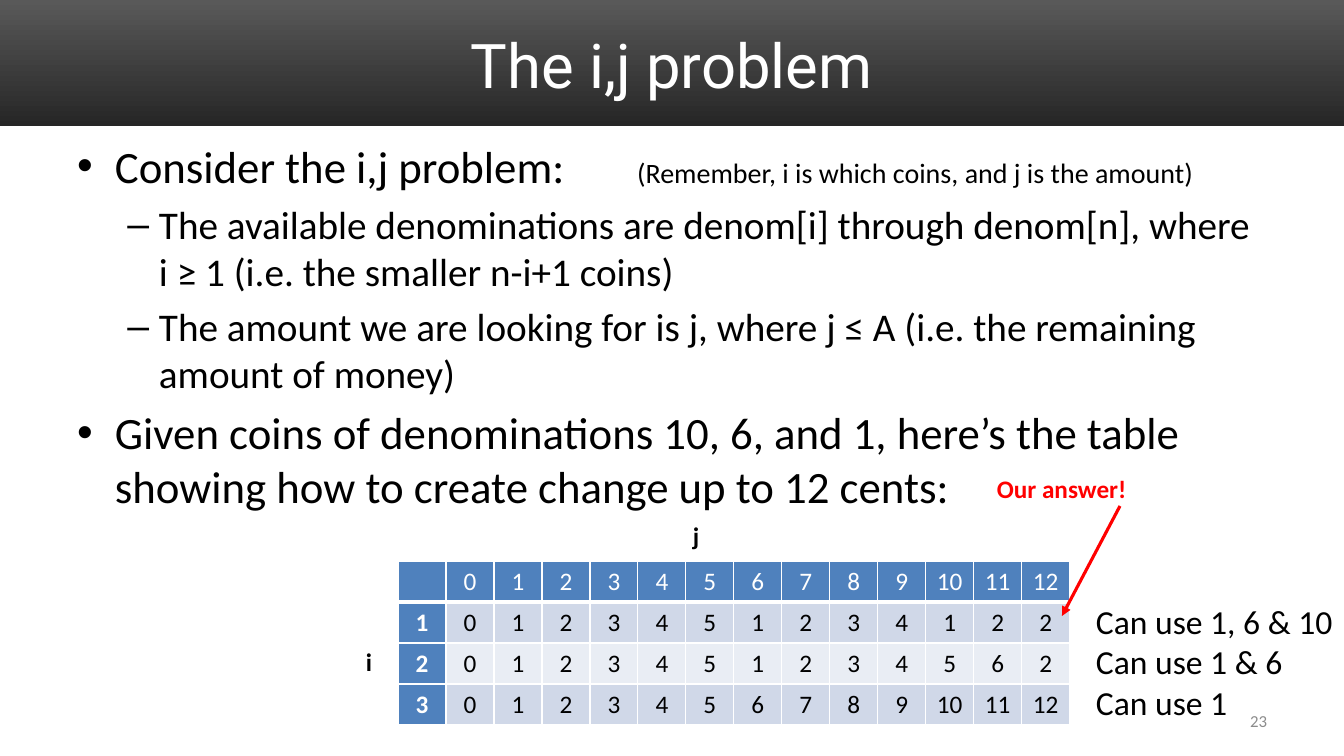
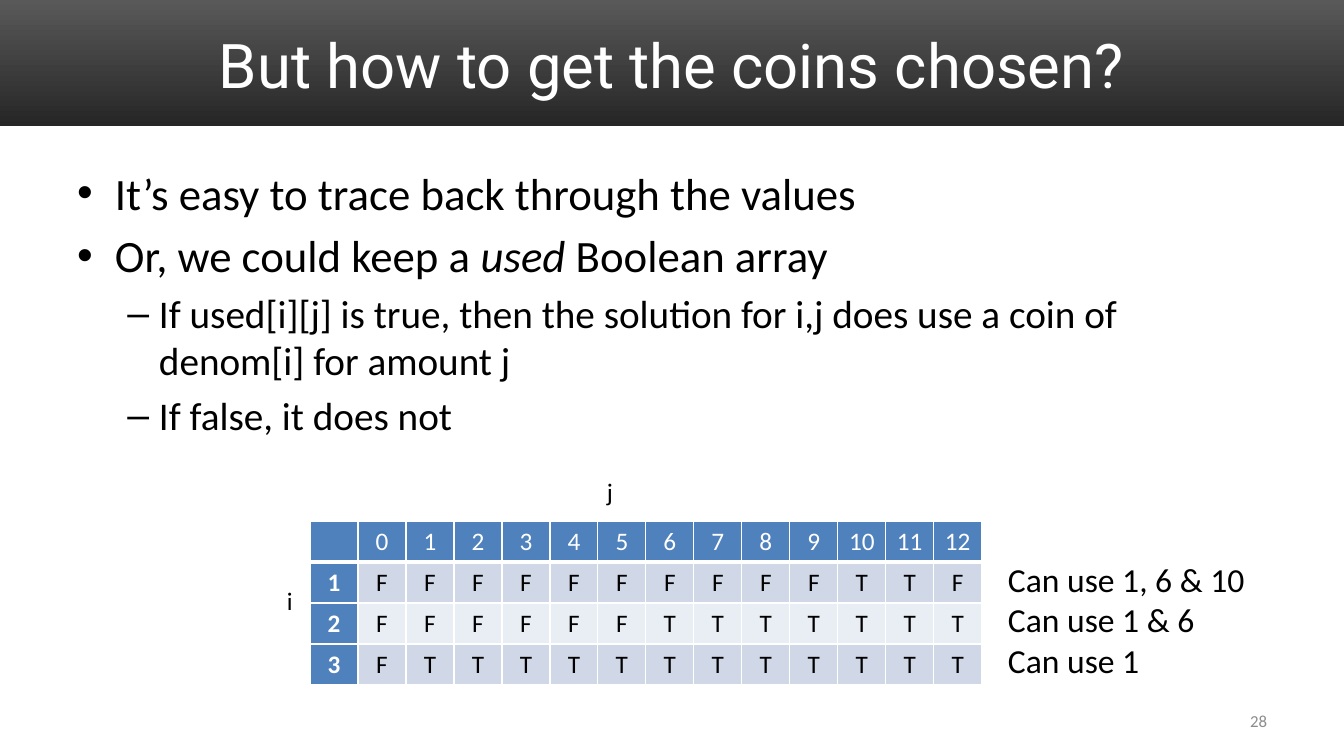
from pptx import Presentation
from pptx.dml.color import RGBColor
from pptx.enum.shapes import MSO_CONNECTOR, MSO_SHAPE
from pptx.enum.text import MSO_ANCHOR, PP_ALIGN
from pptx.oxml import parse_xml
from pptx.oxml.ns import nsdecls
from pptx.util import Pt

WIDE, HIGH = 1344, 756
SCALE = 914400 / 100.8
CELL_W, CELL_H = 48, 41
BLACK, WHITE, RED, GREY = "000000", "FFFFFF", "FF0000", "8C8C8C"
BLUE, PALE, LIGHT = "4F81BD", "D0D8E8", "E9EDF4"
BAND = ("595959", "262626")
HEAD = [""] + [str(n) for n in range(13)]
USES = ["Can use 1, 6 & 10", "Can use 1 & 6", "Can use 1"]

SLIDES = [
    {
        "title": "The i,j problem",
        "page": "23",
        "body": (67, 76, 1210, 499),
        "points": [
            (0, [("Consider the i,j problem:\t", {}),
                 ("(Remember, i is which coins, and j is the amount)", {"size": 20})]),
            (1, [("The available denominations are denom[i] through denom[n], "
                  "where i ≥ 1 (i.e. the smaller n-i+1 coins)", {})]),
            (1, [("The amount we are looking for is j, where j ≤ A "
                  "(i.e. the remaining amount of money)", {})]),
            (0, [("Given coins of denominations 10, 6, and 1, here’s the table "
                  "showing how to create change up to 12 cents:", {})]),
        ],
        "tab": 560,
        "table": (398, 561),
        "rows": ["0 1 2 3 4 5 1 2 3 4 1 2 2",
                 "0 1 2 3 4 5 1 2 3 4 5 6 2",
                 "0 1 2 3 4 5 6 7 8 9 10 11 12"],
        "labels": [("i", 356, 641), ("j", 683, 515)],
        "bold": True,
        "uses": (1086, 596),
        "answer": ("Our answer!", (987, 468, 151, 40), (1120, 506, 1062, 616)),
    },
    {
        "title": "But how to get the coins chosen?",
        "page": "28",
        "body": (67, 151, 1210, 302),
        "points": [
            (0, [("It’s easy to trace back through the values", {})]),
            (0, [("Or, we could keep a ", {}), ("used", {"italic": True}),
                 (" Boolean array", {})]),
            (1, [("If used[i][j] is true, then the solution for i,j does use "
                  "a coin of denom[i] for amount j", {})]),
            (1, [("If false, it does not", {})]),
        ],
        "table": (310, 521),
        "rows": ["F F F F F F F F F F T T F",
                 "F F F F F F T T T T T T T",
                 "F T T T T T T T T T T T T"],
        "labels": [("i", 277, 580), ("j", 597, 471)],
        "bold": False,
        "uses": (998, 554),
    },
]


def px(n):
    return round(n * SCALE)


def box(*sides):
    return [px(n) for n in sides]


def rgb(code):
    return RGBColor.from_string(code)


def place(shape, sides):
    shape.left, shape.top, shape.width, shape.height = box(*sides)


def style(run, size, color=BLACK, bold=False, italic=False, face="Calibri"):
    font = run.font
    font.name, font.size, font.bold, font.italic = face, Pt(size), bold, italic
    font.color.rgb = rgb(color)


def write(frame, lines, size, align=PP_ALIGN.LEFT, **look):
    frame.text = "\n".join(lines)
    for para in frame.paragraphs:
        para.alignment = align
        for run in para.runs:
            style(run, size, **look)


def label(slide, lines, sides, size, wrap=True, anchor=MSO_ANCHOR.TOP, **look):
    frame = slide.shapes.add_textbox(*box(*sides)).text_frame
    frame.word_wrap = wrap
    frame.vertical_anchor = anchor
    write(frame, lines, size, **look)


def add_band(slide, layout):
    band = slide.shapes.add_shape(MSO_SHAPE.RECTANGLE, *box(0, 0, WIDE, 126))
    band.shadow.inherit = False
    band.line.fill.background()
    band.fill.gradient()
    band.fill.gradient_angle = 270
    for stop, color, spot in zip(band.fill.gradient_stops, BAND, (0, 1)):
        stop.color.rgb = rgb(color)
        stop.position = spot
    layout.shapes.element.insert(2, band.element)


def add_points(body, points, tab):
    frame = body.text_frame
    for num, (level, parts) in enumerate(points):
        para = frame.add_paragraph() if num else frame.paragraphs[0]
        para.level = level
        for text, look in parts:
            run = para.add_run()
            run.text = text
            style(run, **{"size": 28 if level else 32, **look})
            if "\t" in text:
                para._p.get_or_add_pPr().append(parse_xml(
                    f'<a:tabLst {nsdecls("a")}><a:tab pos="{px(tab)}" algn="l"/></a:tabLst>'))


def add_edges(cell, top):
    props = cell._tc.get_or_add_tcPr()
    for num, side in enumerate("LRTB"):
        wide = Pt(3 if top and side == "B" else 1)
        props.insert(num, parse_xml(
            f'<a:ln{side} {nsdecls("a")} w="{wide}"><a:solidFill>'
            f'<a:srgbClr val="{WHITE}"/></a:solidFill></a:ln{side}>'))


def add_grid(slide, spot, rows):
    grid = [HEAD] + [[str(n)] + row.split() for n, row in enumerate(rows, 1)]
    wide, high = len(HEAD), len(grid)
    table = slide.shapes.add_table(
        high, wide, *box(*spot, wide * CELL_W, high * CELL_H)).table
    for col in table.columns:
        col.width = px(CELL_W)
    for r, row in enumerate(grid):
        table.rows[r].height = px(CELL_H)
        for c, text in enumerate(row):
            cell = table.cell(r, c)
            head = r == 0 or c == 0
            write(cell.text_frame, [text], 18, PP_ALIGN.CENTER,
                  color=WHITE if head else BLACK, bold=r > 0 and c == 0)
            cell.fill.solid()
            cell.fill.fore_color.rgb = rgb(BLUE if head else PALE if r % 2 else LIGHT)
            add_edges(cell, r == 0)


def add_arrow(slide, ends):
    arrow = slide.shapes.add_connector(MSO_CONNECTOR.STRAIGHT, *box(*ends))
    arrow.line.color.rgb = rgb(RED)
    arrow.line.width = Pt(2.25)
    arrow.line._get_or_add_ln().append(
        parse_xml(f'<a:tailEnd {nsdecls("a")} type="triangle"/>'))
    arrow._element.spPr.append(parse_xml(f'<a:effectLst {nsdecls("a")}/>'))


deck = Presentation()
deck.slide_width, deck.slide_height = box(WIDE, HIGH)
layout = deck.slide_layouts[1]
place(layout.placeholders[0], (67, 17, 1210, 93))
layout.placeholders[1].text_frame.vertical_anchor = MSO_ANCHOR.MIDDLE

for num, data in enumerate(SLIDES):
    slide = deck.slides.add_slide(layout)
    if num == 0:
        add_band(slide, layout)
    title, body = slide.placeholders
    write(title.text_frame, [data["title"]], 44, PP_ALIGN.CENTER,
          color=WHITE, face="Roboto")
    place(body, data["body"])
    add_points(body, data["points"], data.get("tab"))
    label(slide, [data["page"]], (964, 701, 313, 40), 12, color=GREY,
          align=PP_ALIGN.RIGHT, anchor=MSO_ANCHOR.MIDDLE)
    add_grid(slide, data["table"], data["rows"])
    for text, left, top in data["labels"]:
        label(slide, [text], (left, top, 28, 40), 18, bold=data["bold"])
    label(slide, USES, (*data["uses"], 346, 132), 24)
    if "answer" in data:
        text, sides, ends = data["answer"]
        label(slide, [text], sides, 18, wrap=False, color=RED, bold=True)
        add_arrow(slide, ends)

deck.save("out.pptx")
